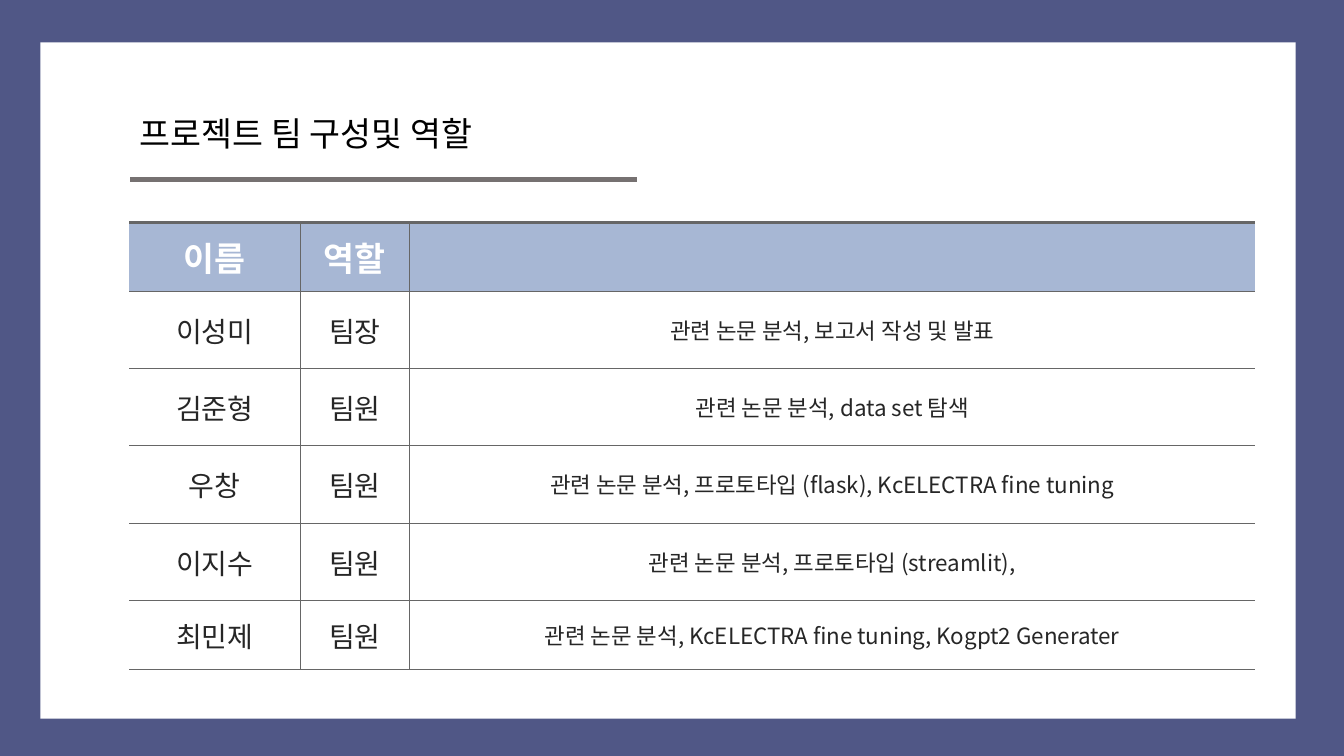
from dataclasses import dataclass

from lxml import etree
from pptx import Presentation
from pptx.dml.color import RGBColor
from pptx.enum.shapes import MSO_CONNECTOR, MSO_SHAPE
from pptx.enum.text import MSO_ANCHOR, PP_ALIGN
from pptx.oxml.ns import qn
from pptx.util import Inches, Pt

RECTANGLE = MSO_SHAPE.RECTANGLE
STRAIGHT = MSO_CONNECTOR.STRAIGHT
MIDDLE = MSO_ANCHOR.MIDDLE
CENTER = PP_ALIGN.CENTER


@dataclass(frozen=True)
class Theme:
    frame: str = "505786"
    paper: str = "FFFFFF"
    title: str = "000000"
    rule: str = "767171"
    header: str = "A7B7D4"
    header_text: str = "FFFFFF"
    body_text: str = "262626"
    border: str = "666666"
    title_font: str = "Calibri"
    table_font: str = "Noto Sans CJK KR"
    heading_size: float = 24
    name_size: float = 20
    task_size: float = 16
    rule_width: float = 3
    border_width: float = 0.75
    top_border_width: float = 2.25


@dataclass(frozen=True)
class Panel:
    left: float
    top: float
    width: float
    height: float
    color: str


@dataclass(frozen=True)
class Member:
    name: str
    role: str
    tasks: str


THEME = Theme()
SLIDE_WIDTH, SLIDE_HEIGHT = 13.33, 7.5
TITLE_LEFT, TITLE_WIDTH = 1.29, 5.03
PANELS = [
    Panel(0, 0, SLIDE_WIDTH, SLIDE_HEIGHT, THEME.frame),
    Panel(0.4, 0.42, 12.45, 6.71, THEME.paper),
]
HEADINGS = Member("이름", "역할", "")
MEMBERS = [
    Member("이성미", "팀장", "관련 논문 분석, 보고서 작성 및 발표"),
    Member("김준형", "팀원", "관련 논문 분석, data set 탐색"),
    Member("우창", "팀원", "관련 논문 분석, 프로토타입 (flask), KcELECTRA fine tuning"),
    Member("이지수", "팀원", "관련 논문 분석, 프로토타입 (streamlit),"),
    Member("최민제", "팀원", "관련 논문 분석, KcELECTRA fine tuning, Kogpt2 Generater"),
]
COLUMN_WIDTHS = [1.7, 1.08, 8.39]
ROW_HEIGHTS = [0.68, 0.77, 0.76, 0.77, 0.77, 0.68]


def write(paragraph, text: str, color: str, **font_format) -> None:
    """Add one run, using its font for Latin and Korean letters alike."""
    run = paragraph.add_run()
    run.text = text
    for attribute, value in font_format.items():
        setattr(run.font, attribute, value)
    run.font.color.rgb = RGBColor.from_string(color)
    east_asian = etree.SubElement(run.font._element, qn("a:ea"))
    east_asian.set("typeface", font_format["name"])


def add_panel(slide, panel: Panel) -> None:
    shape = slide.shapes.add_shape(
        RECTANGLE, Inches(panel.left), Inches(panel.top),
        Inches(panel.width), Inches(panel.height))
    shape.shadow.inherit = False
    shape.fill.solid()
    shape.fill.fore_color.rgb = RGBColor.from_string(panel.color)
    shape.line.fill.background()


def add_title(slide) -> None:
    box = slide.shapes.add_textbox(
        Inches(TITLE_LEFT), Inches(1.07), Inches(TITLE_WIDTH), Inches(0.5))
    box.text_frame.word_wrap = True
    write(box.text_frame.paragraphs[0], "프로젝트 팀 구성및 역할", THEME.title,
          name=THEME.title_font, size=Pt(THEME.heading_size))


def add_title_rule(slide) -> None:
    rule_top = Inches(1.78)
    rule = slide.shapes.add_connector(
        STRAIGHT, Inches(TITLE_LEFT), rule_top,
        Inches(TITLE_LEFT + TITLE_WIDTH), rule_top)
    rule.line.color.rgb = RGBColor.from_string(THEME.rule)
    rule.line.width = Pt(THEME.rule_width)
    etree.SubElement(rule._element.spPr, qn("a:effectLst"))


def set_borders(cell, widths: dict[str, float]) -> None:
    """Draw each side at its width in points; zero leaves the side open."""
    properties = cell._tc.get_or_add_tcPr()
    for side, width in widths.items():
        border = etree.SubElement(properties, qn(f"a:ln{side}"), w=str(Pt(width)))
        if width:
            fill = etree.SubElement(border, qn("a:solidFill"))
            etree.SubElement(fill, qn("a:srgbClr"), val=THEME.border)
        else:
            etree.SubElement(border, qn("a:noFill"))


def add_team_table(slide) -> None:
    rows = [HEADINGS, *MEMBERS]
    table = slide.shapes.add_table(
        len(rows), len(COLUMN_WIDTHS), Inches(1.28), Inches(2.21),
        Inches(sum(COLUMN_WIDTHS)), Inches(sum(ROW_HEIGHTS))).table
    table.horz_banding = False
    for column, width in zip(table.columns, COLUMN_WIDTHS):
        column.width = Inches(width)
    last_column = len(COLUMN_WIDTHS) - 1
    for row_index, (member, height) in enumerate(zip(rows, ROW_HEIGHTS)):
        table.rows[row_index].height = Inches(height)
        is_header = row_index == 0
        for column_index, text in enumerate((member.name, member.role, member.tasks)):
            cell = table.cell(row_index, column_index)
            set_borders(cell, {
                "L": THEME.border_width if column_index > 0 else 0,
                "R": THEME.border_width if column_index < last_column else 0,
                "T": THEME.top_border_width if is_header else THEME.border_width,
                "B": THEME.border_width,
            })
            cell.fill.solid()
            cell.fill.fore_color.rgb = RGBColor.from_string(
                THEME.header if is_header else THEME.paper)
            cell.vertical_anchor = MIDDLE
            if not text:
                continue
            body_size = THEME.task_size if column_index == last_column else THEME.name_size
            paragraph = cell.text_frame.paragraphs[0]
            paragraph.alignment = CENTER
            write(paragraph, text,
                  THEME.header_text if is_header else THEME.body_text,
                  name=THEME.table_font, bold=is_header,
                  size=Pt(THEME.heading_size if is_header else body_size))


def main() -> None:
    presentation = Presentation()
    presentation.slide_width = Inches(SLIDE_WIDTH)
    presentation.slide_height = Inches(SLIDE_HEIGHT)
    slide = presentation.slides.add_slide(presentation.slide_layouts[6])
    for panel in PANELS:
        add_panel(slide, panel)
    add_title(slide)
    add_title_rule(slide)
    add_team_table(slide)
    presentation.save("out.pptx")


if __name__ == "__main__":
    main()
